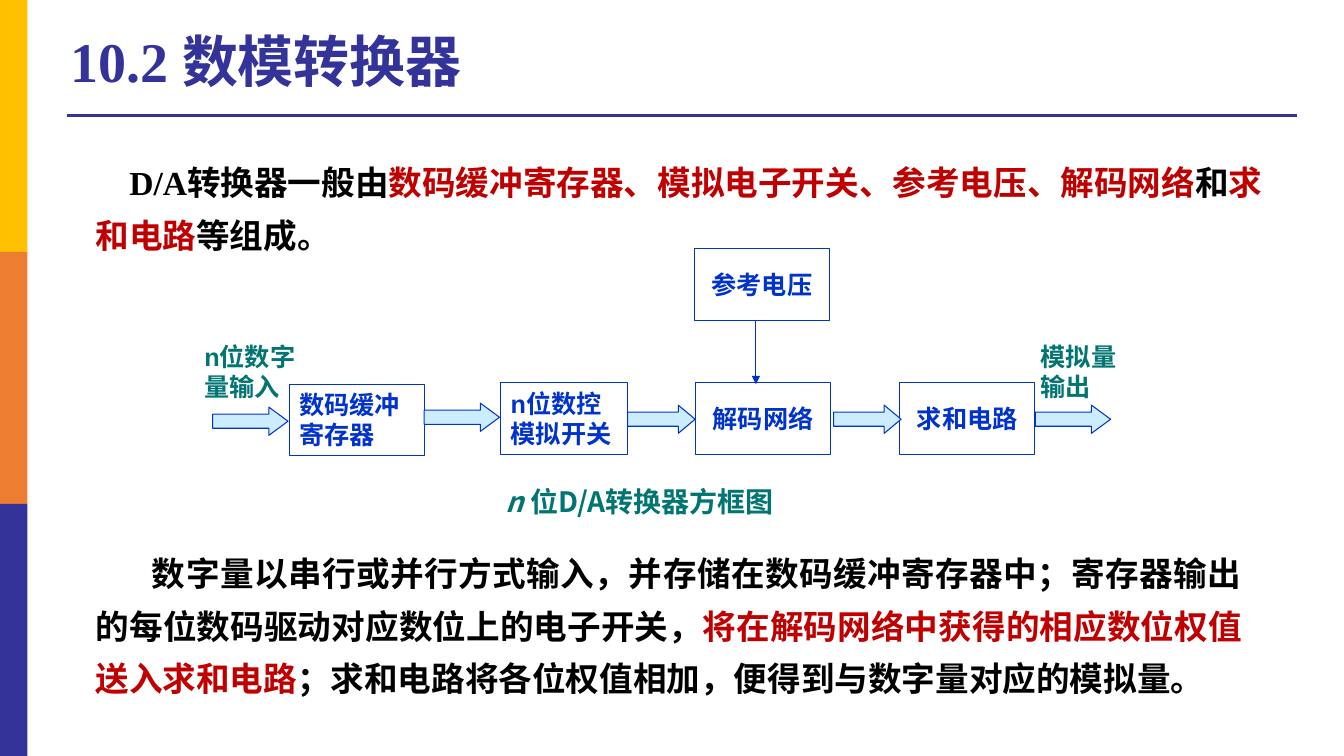
from dataclasses import dataclass

from lxml import etree
from pptx import Presentation
from pptx.dml.color import RGBColor
from pptx.enum.shapes import MSO_CONNECTOR, MSO_SHAPE
from pptx.enum.text import MSO_ANCHOR, PP_ALIGN
from pptx.oxml.ns import qn
from pptx.util import Cm, Pt

RECTANGLE = MSO_SHAPE.RECTANGLE
RIGHT_ARROW = MSO_SHAPE.RIGHT_ARROW
STRAIGHT = MSO_CONNECTOR.STRAIGHT
TOP, MIDDLE = MSO_ANCHOR.TOP, MSO_ANCHOR.MIDDLE
LEFT, CENTER, JUSTIFY = PP_ALIGN.LEFT, PP_ALIGN.CENTER, PP_ALIGN.JUSTIFY

INDIGO = RGBColor(0x33, 0x33, 0x99)
GOLD = RGBColor(0xFF, 0xC0, 0x00)
ORANGE = RGBColor(0xED, 0x7D, 0x31)
BLUE = RGBColor(0x00, 0x33, 0xCC)
PALE_BLUE = RGBColor(0xCC, 0xEC, 0xFF)
TEAL = RGBColor(0x00, 0x75, 0x72)
RED = RGBColor(0xC0, 0x00, 0x00)
BLACK = RGBColor(0x00, 0x00, 0x00)

SERIF = "Times New Roman"
SANS = "Arial"
CHINESE = "Noto Sans CJK SC"

SLIDE_WIDTH, SLIDE_HEIGHT = 33.87, 19.05
BAND_WIDTH = 0.69
BOX_HEIGHT = 1.8
ARROW_HEIGHT = 0.71
THIN, THICK = 0.75, 2.25


@dataclass(frozen=True)
class Span:
    text: str
    color: RGBColor
    italic: bool = False


@dataclass(frozen=True)
class TextBlock:
    left: float
    top: float
    width: float
    height: float
    spans: tuple[Span, ...]
    size: int
    font: str
    spacing: float = 1.0
    indent: float = 0
    align: PP_ALIGN = LEFT
    anchor: MSO_ANCHOR = TOP


@dataclass(frozen=True)
class Stage:
    left: float
    top: float
    width: float
    label: str
    align: PP_ALIGN = CENTER
    anchor: MSO_ANCHOR = MIDDLE


@dataclass(frozen=True)
class FlowArrow:
    left: float
    top: float
    width: float
    head: float


TEXT_BLOCKS = (
    TextBlock(1.52, 0.53, 25.17, 2.21, (Span("10.2 数模转换器", INDIGO),),
              40, SERIF, spacing=0.9, anchor=MIDDLE),
    TextBlock(2.16, 3.66, 29.97, 2.92, (
        Span("D/A转换器一般由", BLACK),
        Span("数码缓冲寄存器、模拟电子开关、参考电压、解码网络", RED),
        Span("和", BLACK),
        Span("求和电路", RED),
        Span("等组成。", BLACK),
    ), 24, SERIF, spacing=1.3, indent=0.85),
    TextBlock(4.9, 8.48, 3.4, 1.78, (Span("n位数字量输入", TEAL),), 18, SANS),
    TextBlock(25.98, 8.48, 3.0, 1.78, (Span("模拟量输出", TEAL),), 18, SANS),
    TextBlock(12.5, 12.09, 7.39, 1.09, (
        Span("n ", TEAL, italic=True),
        Span("位D/A转换器方框图", TEAL),
    ), 20, CHINESE),
    TextBlock(2.16, 13.51, 29.39, 4.27, (
        Span("数字量以串行或并行方式输入，并存储在数码缓冲寄存器中；"
             "寄存器输出的每位数码驱动对应数位上的电子开关，", BLACK),
        Span("将在解码网络中获得的相应数位权值送入求和电路", RED),
        Span("；求和电路将各位权值相加，便得到与数字量对应的模拟量。", BLACK),
    ), 24, CHINESE, spacing=1.3, indent=1.42, align=JUSTIFY),
)

STAGES = (
    Stage(7.29, 9.68, 3.4, "数码缓冲寄存器", LEFT, TOP),
    Stage(12.62, 9.65, 3.2, "n位数控模拟开关", LEFT, TOP),
    Stage(17.53, 9.65, 3.4, "解码网络"),
    Stage(22.68, 9.65, 3.4, "求和电路"),
    Stage(17.5, 6.27, 3.4, "参考电压"),
)

FLOW_ARROWS = (
    FlowArrow(5.36, 10.26, 1.9, 0.68),
    FlowArrow(10.69, 10.16, 1.9, 0.68),
    FlowArrow(15.82, 10.21, 1.7, 0.6),
    FlowArrow(21.01, 10.21, 1.7, 0.6),
    FlowArrow(26.09, 10.21, 1.9, 0.68),
)


def write_text(frame, block: TextBlock) -> None:
    frame.word_wrap = True
    frame.vertical_anchor = block.anchor
    paragraph = frame.paragraphs[0]
    paragraph.alignment = block.align
    paragraph.line_spacing = block.spacing
    if block.indent:
        paragraph._p.get_or_add_pPr().set("indent", str(Cm(block.indent)))
    for span in block.spans:
        run = paragraph.add_run()
        run.text = span.text
        run.font.size = Pt(block.size)
        run.font.bold = True
        run.font.italic = span.italic
        run.font.color.rgb = span.color
        run.font.name = block.font
        east_asian = etree.SubElement(run._r.get_or_add_rPr(), qn("a:ea"))
        east_asian.set("typeface", CHINESE)


def add_text_block(slide, block: TextBlock) -> None:
    box = slide.shapes.add_textbox(Cm(block.left), Cm(block.top),
                                   Cm(block.width), Cm(block.height))
    write_text(box.text_frame, block)


def add_figure(slide, kind: MSO_SHAPE, left: float, top: float, width: float,
               height: float, fill: RGBColor | None, outline: RGBColor | None):
    figure = slide.shapes.add_shape(kind, Cm(left), Cm(top), Cm(width), Cm(height))
    figure.shadow.inherit = False
    if fill is None:
        figure.fill.background()
    else:
        figure.fill.solid()
        figure.fill.fore_color.rgb = fill
    if outline is None:
        figure.line.fill.background()
    else:
        figure.line.color.rgb = outline
        figure.line.width = Pt(THIN)
    return figure


def add_stage(slide, stage: Stage) -> None:
    box = add_figure(slide, RECTANGLE, stage.left, stage.top, stage.width,
                     BOX_HEIGHT, None, BLUE)
    write_text(box.text_frame, TextBlock(
        stage.left, stage.top, stage.width, BOX_HEIGHT, (Span(stage.label, BLUE),),
        18, SANS, align=stage.align, anchor=stage.anchor))


def add_flow_arrow(slide, arrow: FlowArrow) -> None:
    figure = add_figure(slide, RIGHT_ARROW, arrow.left, arrow.top, arrow.width,
                        ARROW_HEIGHT, PALE_BLUE, BLUE)
    figure.adjustments[0] = 0.5
    figure.adjustments[1] = arrow.head


def add_line(slide, start: tuple[float, float], end: tuple[float, float],
             color: RGBColor, width: float, arrowhead: bool = False) -> None:
    line = slide.shapes.add_connector(STRAIGHT, Cm(start[0]), Cm(start[1]),
                                      Cm(end[0]), Cm(end[1]))
    line.line.color.rgb = color
    line.line.width = Pt(width)
    if arrowhead:
        tail = etree.SubElement(line.line._get_or_add_ln(), qn("a:tailEnd"))
        tail.set("type", "triangle")
    etree.SubElement(line._element.spPr, qn("a:effectLst"))


def main() -> None:
    presentation = Presentation()
    presentation.slide_width = Cm(SLIDE_WIDTH)
    presentation.slide_height = Cm(SLIDE_HEIGHT)
    slide = presentation.slides.add_slide(presentation.slide_layouts[6])

    add_line(slide, (1.7, 2.92), (32.69, 2.92), INDIGO, THICK)
    band_height = SLIDE_HEIGHT / 3
    for index, color in enumerate((GOLD, ORANGE, INDIGO)):
        add_figure(slide, RECTANGLE, 0, index * band_height, BAND_WIDTH,
                   band_height, color, None)
    for stage in STAGES:
        add_stage(slide, stage)
    for arrow in FLOW_ARROWS:
        add_flow_arrow(slide, arrow)
    add_line(slide, (19.05, 8.08), (19.05, 9.68), BLUE, THIN, arrowhead=True)
    for block in TEXT_BLOCKS:
        add_text_block(slide, block)

    presentation.save("out.pptx")


if __name__ == "__main__":
    main()
